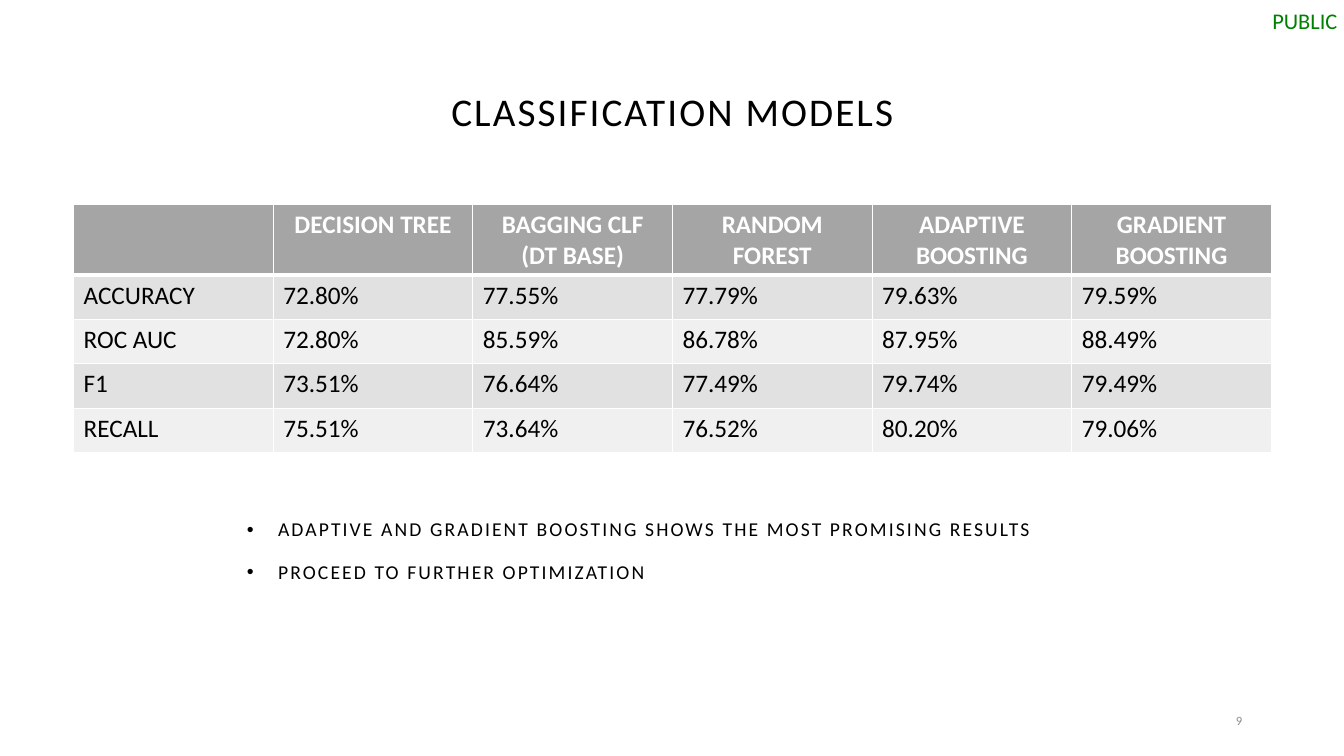
"""Build a slide that compares classification models in a table."""
import pptx
import pptx.dml.color
import pptx.enum.text
import pptx.util
from lxml import etree
from pptx.oxml.ns import qn

Inches, Pt = pptx.util.Inches, pptx.util.Pt
ALIGN = pptx.enum.text.PP_ALIGN
ANCHOR = pptx.enum.text.MSO_ANCHOR

FONT = "Calibri"
BLACK, WHITE, GREEN, GRAY = "000000", "FFFFFF", "008000", "8C8C8C"
HEAD, BANDS = "A5A5A5", ("E1E1E1", "F0F0F0")
LABEL = "PUBLIC"
TITLE = "CLASSIFICATION MODELS"
SCORES = [
    ("", "DECISION TREE", "BAGGING CLF (DT BASE)", "RANDOM FOREST",
     "ADAPTIVE BOOSTING", "GRADIENT BOOSTING"),
    ("ACCURACY", "72.80%", "77.55%", "77.79%", "79.63%", "79.59%"),
    ("ROC AUC", "72.80%", "85.59%", "86.78%", "87.95%", "88.49%"),
    ("F1", "73.51%", "76.64%", "77.49%", "79.74%", "79.49%"),
    ("RECALL", "75.51%", "73.64%", "76.52%", "80.20%", "79.06%"),
]
NOTES = [
    "ADAPTIVE AND GRADIENT BOOSTING SHOWS THE MOST PROMISING RESULTS",
    "PROCEED TO FURTHER OPTIMIZATION",
]
NUMBER = "9"
COL, TOP, ROW = 1.98, 0.7, 0.44


def paint(target, color):
    target.rgb = pptx.dml.color.RGBColor.from_string(color)


def write(para, text, size, color, bold=False, space=0):
    run = para.add_run()
    run.text = text
    run.font.name, run.font.size, run.font.bold = FONT, Pt(size), bold
    paint(run.font.color, color)
    if space:
        run.font._element.set("spc", str(int(space * 100)))


def add_box(slide, left, top, width, height, anchor=ANCHOR.MIDDLE):
    box = slide.shapes.add_textbox(*map(Inches, (left, top, width, height)))
    frame = box.text_frame
    frame.word_wrap = True
    frame.vertical_anchor = anchor
    return frame


def add_edge(cell, side, width):
    props = cell._tc.get_or_add_tcPr()
    line = etree.SubElement(props, qn("a:ln" + side), w=str(Pt(width)))
    fill = etree.SubElement(line, qn("a:solidFill"))
    etree.SubElement(fill, qn("a:srgbClr"), val=WHITE)


def add_scores(slide):
    rows, cols = len(SCORES), len(SCORES[0])
    high = TOP + ROW * (rows - 1)
    table = slide.shapes.add_table(
        rows, cols, Inches(0.73), Inches(2.03), Inches(COL * cols), Inches(high)).table
    for col in table.columns:
        col.width = Inches(COL)
    for r, values in enumerate(SCORES):
        first = r == 0
        table.rows[r].height = Inches(TOP if first else ROW)
        for c, value in enumerate(values):
            cell = table.cell(r, c)
            for side in "LRTB":
                thick = (first and side == "B") or (r == 1 and side == "T")
                add_edge(cell, side, 3 if thick else 1)
            cell.fill.solid()
            paint(cell.fill.fore_color, HEAD if first else BANDS[(r - 1) % 2])
            para = cell.text_frame.paragraphs[0]
            para.alignment = ALIGN.CENTER if first else ALIGN.LEFT
            if value:
                write(para, value, 18, WHITE if first else BLACK, first)


def add_notes(slide):
    frame = add_box(slide, 2.35, 4.87, 8.64, 1.21)
    for i, note in enumerate(NOTES):
        para = frame.add_paragraph() if i else frame.paragraphs[0]
        para.line_spacing = 0.9
        para.space_before = Pt(15.4 if i else 0)
        props = para._p.get_or_add_pPr()
        props.set("marL", str(Inches(0.31)))
        props.set("indent", str(-Inches(0.31)))
        etree.SubElement(props, qn("a:buFont"), typeface="Arial")
        etree.SubElement(props, qn("a:buChar"), char="•")
        write(para, note, 14, BLACK, space=1.5)


def main():
    deck = pptx.Presentation()
    deck.slide_width, deck.slide_height = Inches(13.33), Inches(7.5)
    slide = deck.slides.add_slide(deck.slide_layouts[6])

    label = add_box(slide, 12.62, 0.07, 0.7, 0.27, ANCHOR.TOP)
    label.margin_left = label.margin_right = 0
    label.margin_top = label.margin_bottom = 0
    label.word_wrap = False
    write(label.paragraphs[0], LABEL, 16, GREEN)

    title = add_box(slide, 0.92, 0.4, 11.5, 1.45).paragraphs[0]
    title.alignment, title.line_spacing = ALIGN.CENTER, 0.9
    write(title, TITLE, 28, BLACK, space=1.5)

    add_scores(slide)
    add_notes(slide)

    number = add_box(slide, 9.42, 6.95, 3, 0.4).paragraphs[0]
    number.alignment = ALIGN.RIGHT
    write(number, NUMBER, 9, GRAY)
    deck.save("out.pptx")


if __name__ == "__main__":
    main()
